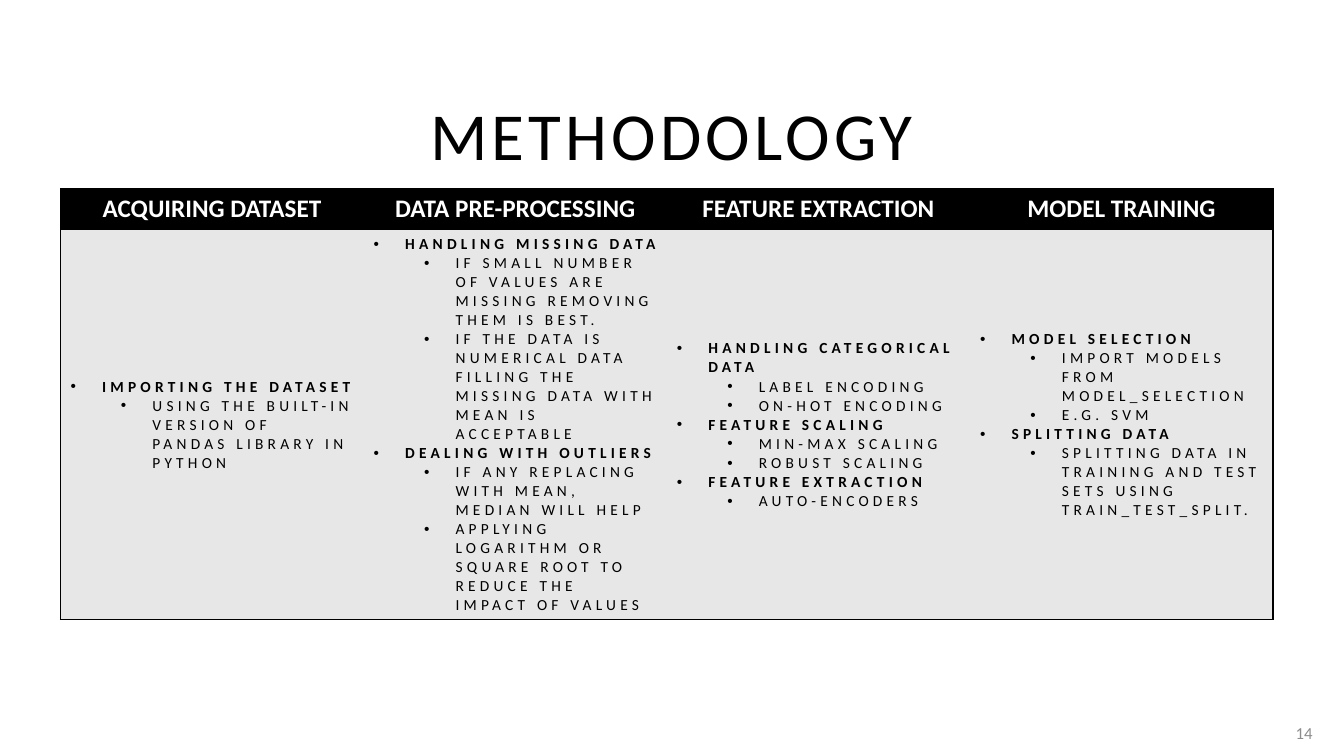
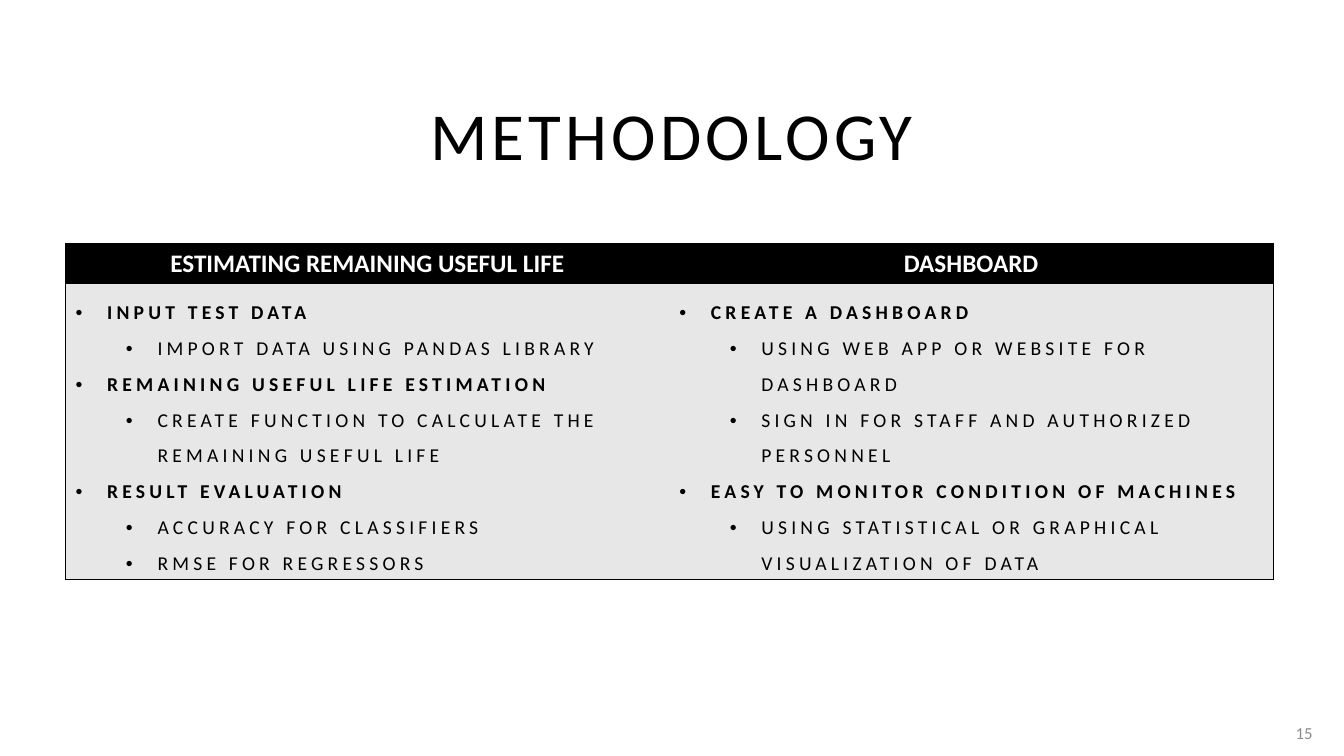
from lxml.etree import SubElement
from pptx import Presentation
from pptx.dml.color import RGBColor
from pptx.enum.text import MSO_ANCHOR, PP_ALIGN
from pptx.oxml.ns import qn
from pptx.util import Pt

BLACK = RGBColor(0x00, 0x00, 0x00)
WHITE = RGBColor(0xFF, 0xFF, 0xFF)
CELL_GRAY = RGBColor(0xE7, 0xE7, 0xE7)
NUMBER_GRAY = RGBColor(0x8C, 0x8C, 0x8C)
FONT = "Calibri"

TITLE_BOX = (46.8, 10.8, 866, 114.5)
NUMBER_BOX = (909.4, 509, 35.3, 28.8)
HEADER_HEIGHT = 29.2
TRACKING = 3
INDENTS = (22.5, 58.5)

# Each column: header, then topics with their points
PREPARATION = [
    ("ACQUIRING DATASET", [
        ("IMPORTING THE DATASET", [
            "USING THE BUILT-IN VERSION OF PANDAS LIBRARY IN PYTHON"]),
    ]),
    ("DATA PRE-PROCESSING", [
        ("HANDLING MISSING DATA", [
            "IF SMALL NUMBER OF VALUES ARE MISSING REMOVING THEM IS BEST.",
            "IF THE DATA IS NUMERICAL DATA FILLING THE MISSING DATA WITH "
            "MEAN IS ACCEPTABLE"]),
        ("DEALING WITH OUTLIERS", [
            "IF ANY REPLACING WITH MEAN, MEDIAN WILL HELP",
            "APPLYING LOGARITHM OR SQUARE ROOT TO REDUCE THE IMPACT OF VALUES"]),
    ]),
    ("FEATURE EXTRACTION", [
        ("HANDLING CATEGORICAL DATA", ["LABEL ENCODING", "ON-HOT ENCODING"]),
        ("FEATURE SCALING", ["MIN-MAX SCALING", "ROBUST SCALING"]),
        ("FEATURE EXTRACTION", ["AUTO-ENCODERS"]),
    ]),
    ("MODEL TRAINING", [
        ("MODEL SELECTION", ["IMPORT MODELS FROM MODEL_SELECTION", "E.G. SVM"]),
        ("SPLITTING DATA", [
            "SPLITTING DATA IN TRAINING AND TEST SETS USING TRAIN_TEST_SPLIT."]),
    ]),
]
ESTIMATION = [
    ("ESTIMATING REMAINING USEFUL LIFE", [
        ("INPUT TEST DATA", ["IMPORT DATA USING PANDAS LIBRARY"]),
        ("REMAINING USEFUL LIFE ESTIMATION", [
            "CREATE FUNCTION TO CALCULATE THE REMAINING USEFUL LIFE"]),
        ("RESULT EVALUATION", ["ACCURACY FOR CLASSIFIERS", "RMSE FOR REGRESSORS"]),
    ]),
    ("DASHBOARD", [
        ("CREATE A DASHBOARD", [
            "USING WEB APP OR WEBSITE FOR DASHBOARD",
            "SIGN IN FOR STAFF AND AUTHORIZED PERSONNEL"]),
        ("EASY TO MONITOR CONDITION OF MACHINES", [
            "USING STATISTICAL OR GRAPHICAL VISUALIZATION OF DATA"]),
    ]),
]


def add_run(p, text, size, color, bold=False, tracking=0):
    r = p.add_run()
    r.text = text
    r.font.name = FONT
    r.font.size = Pt(size)
    r.font.bold = bold
    r.font.color.rgb = color
    if tracking:
        r.font._element.set("spc", str(tracking * 100))


def add_text(slide, box, text, size, color, align, anchor, tracking=0):
    tf = slide.shapes.add_textbox(*map(Pt, box)).text_frame
    tf.word_wrap = True
    tf.vertical_anchor = anchor
    tf.paragraphs[0].alignment = align
    add_run(tf.paragraphs[0], text, size, color, tracking=tracking)
    return tf


def set_bullet(p, level):
    p.level = level
    pPr = p._p.get_or_add_pPr()
    pPr.set("marL", str(Pt(INDENTS[level])))
    pPr.set("indent", str(-Pt(INDENTS[0])))
    SubElement(pPr, qn("a:buFont")).set("typeface", "Arial")
    SubElement(pPr, qn("a:buChar")).set("char", "•")


def style_cell(cell, fill, outer_sides):
    """Fill the cell and rule only the sides on the table's outline."""
    cell.vertical_anchor = MSO_ANCHOR.MIDDLE
    tcPr = cell._tc.get_or_add_tcPr()
    for side in "LRTB":
        ln = SubElement(tcPr, qn("a:ln" + side))
        if side in outer_sides:
            ln.set("w", str(Pt(1)))
            solid = SubElement(ln, qn("a:solidFill"))
            SubElement(solid, qn("a:srgbClr")).set("val", str(BLACK))
        else:
            SubElement(ln, qn("a:noFill"))
    cell.fill.solid()
    cell.fill.fore_color.rgb = fill


def fill_topics(tf, topics, size, spacing):
    lines = [(text, level) for topic, points in topics
             for text, level in [(topic, 0)] + [(point, 1) for point in points]]
    for i, (text, level) in enumerate(lines):
        p = tf.add_paragraph() if i else tf.paragraphs[0]
        p.line_spacing = spacing
        set_bullet(p, level)
        add_run(p, text, size, BLACK, bold=level == 0, tracking=TRACKING)


def add_topic_table(slide, box, columns, size, spacing):
    count = len(columns)
    left, top, width, height = box
    table = slide.shapes.add_table(2, count, *map(Pt, box)).table
    table.horz_banding = False
    table.rows[0].height = Pt(HEADER_HEIGHT)
    table.rows[1].height = Pt(height - HEADER_HEIGHT)
    for i, (header, topics) in enumerate(columns):
        table.columns[i].width = Pt(width / count)
        sides = ("L" if i == 0 else "") + ("R" if i == count - 1 else "")
        head, body = table.cell(0, i), table.cell(1, i)
        style_cell(head, BLACK, sides + "T")
        style_cell(body, CELL_GRAY, sides + "B")
        p = head.text_frame.paragraphs[0]
        p.alignment = PP_ALIGN.CENTER
        add_run(p, header, 18, WHITE, bold=True)
        fill_topics(body.text_frame, topics, size, spacing)


def add_methodology_slide(prs, number, table_box, columns, size, spacing):
    slide = prs.slides.add_slide(prs.slide_layouts[6])
    add_topic_table(slide, table_box, columns, size, spacing)
    # Title and page number
    tf = add_text(slide, TITLE_BOX, "METHODOLOGY", 48, BLACK,
                  PP_ALIGN.CENTER, MSO_ANCHOR.BOTTOM, TRACKING)
    tf.margin_bottom = Pt(1)
    add_text(slide, NUMBER_BOX, str(number), 12, NUMBER_GRAY,
             PP_ALIGN.RIGHT, MSO_ANCHOR.MIDDLE)


def main():
    prs = Presentation()
    prs.slide_width, prs.slide_height = Pt(960), Pt(540)
    add_methodology_slide(prs, 14, (43.2, 134.8, 866.2, 308), PREPARATION, 11, 1.0)
    add_methodology_slide(prs, 15, (46.8, 173.8, 862.6, 240), ESTIMATION, 14, 1.5)
    prs.save("out.pptx")


if __name__ == "__main__":
    main()
